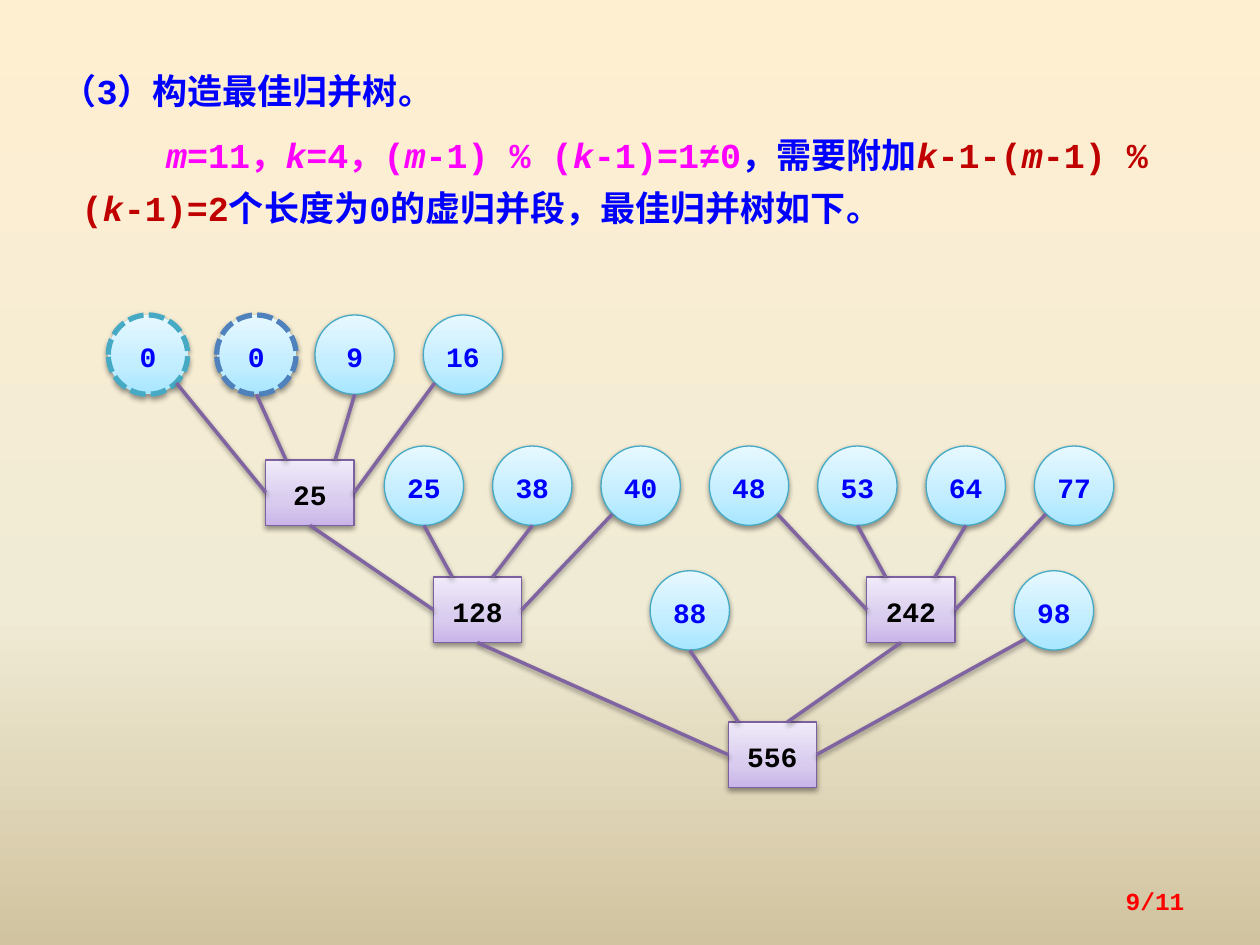
from dataclasses import dataclass

import pptx
import pptx.dml.color
import pptx.enum.dml
import pptx.enum.shapes
import pptx.enum.text
import pptx.oxml
import pptx.oxml.ns
import pptx.util
from pptx.dml.color import RGBColor
from pptx.util import Inches, Pt

FONT = "Courier New"
BLUE = RGBColor(0x00, 0x00, 0xFF)
MAGENTA = RGBColor(0xFF, 0x00, 0xFF)
DARK_RED = RGBColor(0xC0, 0x00, 0x00)
RED = RGBColor(0xFF, 0x00, 0x00)
BLACK = RGBColor(0x00, 0x00, 0x00)
TEAL = RGBColor(0x46, 0xAA, 0xC5)
STEEL = RGBColor(0x4F, 0x81, 0xBD)
PURPLE = RGBColor(0x7D, 0x60, 0xA0)
EDGE = RGBColor(0x80, 0x64, 0xA2)

Stops = list[tuple[int, RGBColor]]
PAGE_STOPS: Stops = [(0, RGBColor(0xFF, 0xEF, 0xD1)), (65, RGBColor(0xF0, 0xEB, 0xD5)),
                     (100, RGBColor(0xD1, 0xC3, 0x9F))]
LEAF_STOPS: Stops = [(0, RGBColor(0xA7, 0xE6, 0xFF)), (35, RGBColor(0xC1, 0xED, 0xFF)),
                     (100, RGBColor(0xE7, 0xF8, 0xFF))]
MERGE_STOPS: Stops = [(0, RGBColor(0xC9, 0xB5, 0xE8)), (35, RGBColor(0xD8, 0xCB, 0xEE)),
                      (100, RGBColor(0xF0, 0xEA, 0xF9))]

LEAF_SIZE = 0.63
LEAF_STEP = 0.86
DIAGONAL = 0.54  # offset of the lower right point of a leaf's circle
MERGE_WIDTH, MERGE_HEIGHT = 0.7, 0.52
NAMESPACE = 'xmlns:a="http://schemas.openxmlformats.org/drawingml/2006/main"'


@dataclass
class Leaf:
    """An initial run, drawn as a circle; a virtual run has a dashed outline."""
    label: str
    left: float
    top: float
    outline: RGBColor = TEAL
    virtual: bool = False


@dataclass
class Merge:
    """A merged run, with its four children and where the inner edges meet its top."""
    label: str
    left: float
    top: float
    children: list
    entries: tuple[float, float]
    exit: float = MERGE_WIDTH / 2


def leaf_row(labels: list[str], left: float, top: float) -> list[Leaf]:
    """Return evenly spaced leaves."""
    return [Leaf(label, left + i * LEAF_STEP, top) for i, label in enumerate(labels)]


def set_gradient(fill, owner, stops: Stops, angle: int) -> None:
    """Give a fill a linear gradient, with the angle measured clockwise."""
    fill.gradient()
    fill.gradient_angle = 360 - angle
    stop_list = owner.find(".//" + pptx.oxml.ns.qn("a:gsLst"))
    for stop in list(stop_list):
        stop_list.remove(stop)
    for position, color in stops:
        stop_list.append(pptx.oxml.parse_xml(
            f'<a:gs {NAMESPACE} pos="{position * 1000}"><a:srgbClr val="{color}"/></a:gs>'))


def add_shadow(shape) -> None:
    """Add a soft shadow below a shape or connector."""
    shape.element.spPr.append(pptx.oxml.parse_xml(
        f'<a:effectLst {NAMESPACE}><a:outerShdw blurRad="{Pt(3.1)}" dist="{Pt(1.6)}" '
        'dir="5400000" rotWithShape="0"><a:srgbClr val="000000"><a:alpha val="38000"/>'
        '</a:srgbClr></a:outerShdw></a:effectLst>'))


def set_font(paragraph, size: float, color: RGBColor) -> None:
    """Set the bold slide font on a paragraph."""
    font = paragraph.font
    font.name, font.size, font.bold = FONT, Pt(size), True
    font.color.rgb = color


def add_text(page, left: float, top: float, width: float, height: float):
    """Add a wrapping text box and return it."""
    box = page.shapes.add_textbox(Inches(left), Inches(top), Inches(width), Inches(height))
    box.text_frame.word_wrap = True
    return box


def draw_node(page, node: Leaf | Merge) -> None:
    """Draw one tree node with its number."""
    kinds = pptx.enum.shapes.MSO_SHAPE
    if isinstance(node, Leaf):
        kind, width, height = kinds.OVAL, LEAF_SIZE, LEAF_SIZE
        stops, outline, color = LEAF_STOPS, node.outline, BLUE
    else:
        kind, width, height = kinds.RECTANGLE, MERGE_WIDTH, MERGE_HEIGHT
        stops, outline, color = MERGE_STOPS, PURPLE, BLACK
    shape = page.shapes.add_shape(kind, Inches(node.left), Inches(node.top),
                                  Inches(width), Inches(height))
    set_gradient(shape.fill, shape.element, stops, 270)
    shape.line.color.rgb = outline
    shape.line.width = Pt(0.75)
    if isinstance(node, Leaf) and node.virtual:
        shape.line.width = Pt(3)
        # SQUARE_DOT is written as sysDot, ROUND_DOT variants differ: set sysDash directly
        shape.line.dash_style = pptx.enum.dml.MSO_LINE.DASH
        shape.element.find(".//" + pptx.oxml.ns.qn("a:prstDash")).set("val", "sysDash")
    add_shadow(shape)
    frame = shape.text_frame
    frame.margin_left = frame.margin_right = 0
    frame.vertical_anchor = pptx.enum.text.MSO_ANCHOR.MIDDLE
    para = frame.paragraphs[0]
    para.text = node.label
    para.alignment = pptx.enum.text.PP_ALIGN.CENTER
    para.line_spacing = 1.1
    para.space_before = Pt(8)
    set_font(para, 16, color)


def edge_start(child: Leaf | Merge, position: int) -> tuple[float, float]:
    """Return the point where the edge leaves a child, by its place among siblings."""
    if isinstance(child, Merge):
        return child.left + child.exit, child.top + MERGE_HEIGHT
    offsets = [(DIAGONAL, DIAGONAL), (LEAF_SIZE / 2, LEAF_SIZE),
               (LEAF_SIZE / 2, LEAF_SIZE), (LEAF_SIZE - DIAGONAL, DIAGONAL)]
    across, down = offsets[position]
    return child.left + across, child.top + down


def draw_tree(page, merge: Merge) -> None:
    """Draw a merge node, everything above it and the edges between."""
    for child in merge.children:
        if isinstance(child, Merge):
            draw_tree(page, child)
        else:
            draw_node(page, child)
    draw_node(page, merge)
    middle = MERGE_HEIGHT / 2
    ends = [(0, middle), (merge.entries[0], 0), (merge.entries[1], 0), (MERGE_WIDTH, middle)]
    for position, (child, (across, down)) in enumerate(zip(merge.children, ends)):
        start_x, start_y = edge_start(child, position)
        edge = page.shapes.add_connector(
            pptx.enum.shapes.MSO_CONNECTOR.STRAIGHT, Inches(start_x), Inches(start_y),
            Inches(merge.left + across), Inches(merge.top + down))
        edge.line.color.rgb = EDGE
        edge.line.width = Pt(2)
        add_shadow(edge)


def main() -> None:
    """Build and save the slide."""
    deck = pptx.Presentation()
    deck.slide_width, deck.slide_height = Inches(10), Inches(7.5)
    page = deck.slides.add_slide(deck.slide_layouts[6])
    set_gradient(page.background.fill, page.element, PAGE_STOPS, 90)

    heading = add_text(page, 0.39, 0.42, 5, 0.52).text_frame.paragraphs[0]
    heading.text = "（3）构造最佳归并树。"
    heading.line_spacing = Pt(30)
    set_font(heading, 20, BLUE)

    para = add_text(page, 0.55, 0.93, 8.75, 0.94).text_frame.paragraphs[0]
    para.line_spacing = Pt(30)
    para._p.get_or_add_pPr().set("indent", str(Inches(0.67)))
    set_font(para, 20, BLUE)
    passages = [
        (MAGENTA, ["m", "=11，", "k", "=4，(", "m", "-1) % (", "k", "-1)=1≠0"]),
        (BLUE, ["，需要附加"]),
        (DARK_RED, ["k", "-1-(", "m", "-1) % (", "k", "-1)=2"]),
        (BLUE, ["个长度为0的虚归并段，最佳归并树如下。"]),
    ]
    for color, pieces in passages:
        for piece in pieces:
            span = para.add_run()
            span.text = piece
            span.font.color.rgb = color
            span.font.italic = piece in ("m", "k")

    virtual = [Leaf("0", 0.86, 2.5, TEAL, True), Leaf("0", 1.72, 2.5, STEEL, True)]
    first = Merge("25", 2.11, 3.65, virtual + leaf_row(["9", "16"], 2.5, 2.5), (0.16, 0.55))
    second = Merge("128", 3.44, 4.58, [first, *leaf_row(["25", "38", "40"], 3.05, 3.54)],
                   (0.15, 0.47))
    third = Merge("242", 6.88, 4.58, leaf_row(["48", "53", "64", "77"], 5.63, 3.54),
                  (0.15, 0.54), exit=0.27)
    root = Merge("556", 5.78, 5.73,
                 [second, Leaf("88", 5.16, 4.53), third, Leaf("98", 8.05, 4.53)], (0.08, 0.47))
    draw_tree(page, root)

    number_box = add_text(page, 7.17, 6.95, 2.33, 0.4)
    number_box.text_frame.vertical_anchor = pptx.enum.text.MSO_ANCHOR.MIDDLE
    number = number_box.text_frame.paragraphs[0]
    number.text = "9/11"
    number.alignment = pptx.enum.text.PP_ALIGN.RIGHT
    set_font(number, 14, RED)
    deck.save("out.pptx")


main()
